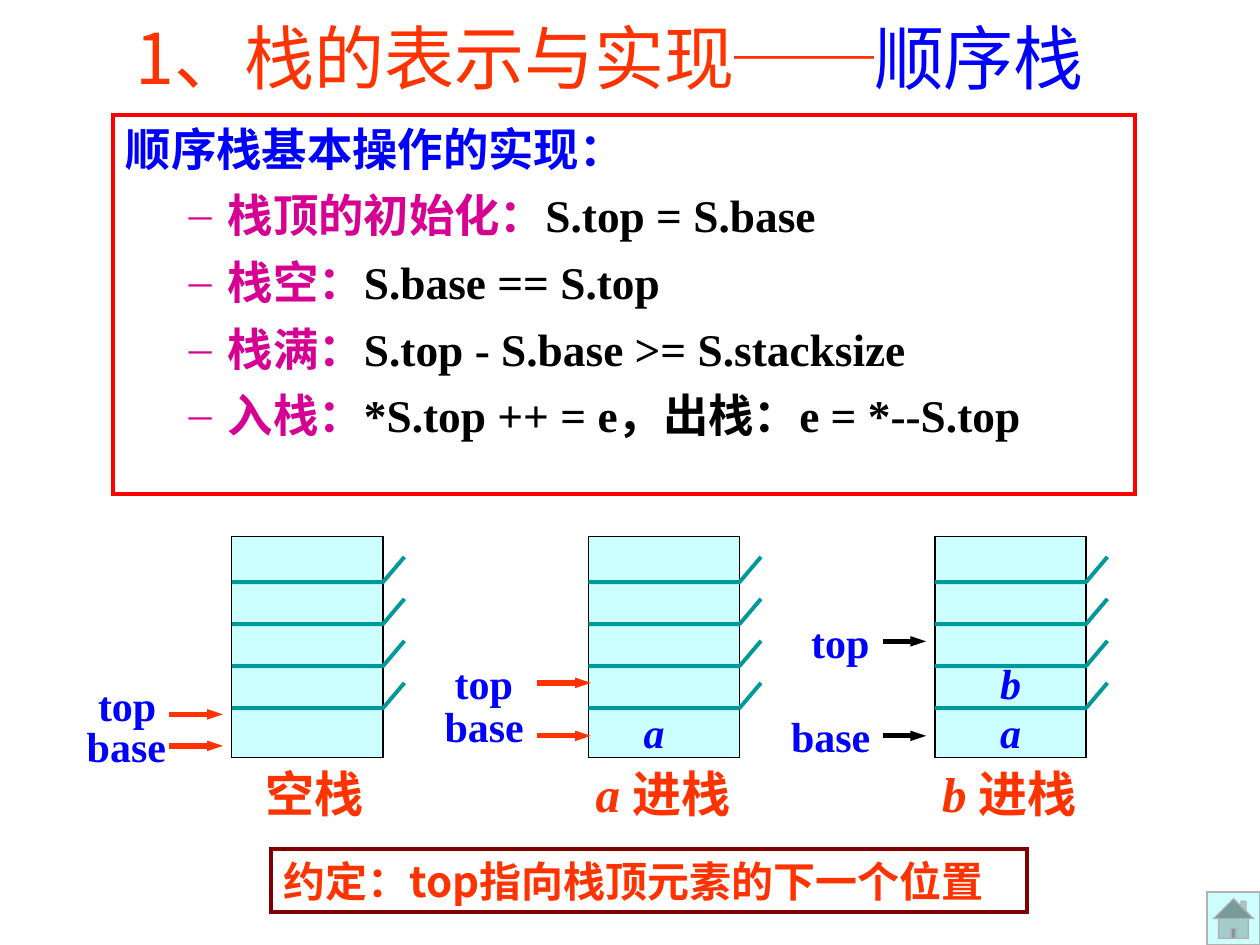
"""Build the slide on the operations of a sequential stack."""
import pptx
import pptx.dml.color
import pptx.enum.shapes
import pptx.enum.text
import pptx.oxml
import pptx.oxml.ns
import pptx.util
from lxml import etree

Inches = pptx.util.Inches
Pt = pptx.util.Pt
RGBColor = pptx.dml.color.RGBColor
MSO_SHAPE = pptx.enum.shapes.MSO_SHAPE
ALIGN = pptx.enum.text.PP_ALIGN
ANCHOR = pptx.enum.text.MSO_ANCHOR
qn = pptx.oxml.ns.qn

BLACK = RGBColor(0x00, 0x00, 0x00)
BLUE = RGBColor(0x00, 0x00, 0xFF)
RED = RGBColor(0xFF, 0x00, 0x00)
ORANGE = RGBColor(0xFF, 0x33, 0x00)
MAGENTA = RGBColor(0xD6, 0x00, 0x93)
MAROON = RGBColor(0x80, 0x00, 0x00)
TEAL = RGBColor(0x00, 0x99, 0x99)
CYAN = RGBColor(0xCC, 0xFF, 0xFF)
GREY = RGBColor(0xB2, 0xB2, 0xB2)


class StackSlide:
    serif = "Times New Roman"
    sans = "Noto Sans CJK SC"
    title_font = "Noto Sans CJK JP"

    def __init__(self, prs):
        self.s = prs.slides.add_slide(prs.slide_layouts[5])

    def run(self, p, text, size, color, font=serif, bold=True, italic=False):
        r = p.add_run()
        r.text = text
        f = r.font
        f.name, f.size, f.bold, f.italic = font, Pt(size), bold, italic
        f.color.rgb = color
        ea = etree.SubElement(r._r.get_or_add_rPr(), qn("a:ea"))
        ea.set("typeface", self.sans if font == self.serif else font)

    def title(self, parts):
        sp = self.s.shapes.title
        sp.left, sp.top = Inches(0.59), Inches(0.06)
        sp.width, sp.height = Inches(8.5), Inches(0.78)
        tf = sp.text_frame
        tf.vertical_anchor = ANCHOR.MIDDLE
        tf.auto_size = pptx.enum.text.MSO_AUTO_SIZE.NONE
        p = tf.paragraphs[0]
        p.alignment = ALIGN.CENTER
        for text, color, font in parts:
            self.run(p, text, 40, color, font, bold=False)

    def shape(self, kind, x, y, w, h, line, width, fill=None):
        sp = self.s.shapes.add_shape(kind, Inches(x), Inches(y), Inches(w), Inches(h))
        sp.shadow.inherit = False
        if fill is None:
            sp.fill.background()
        else:
            sp.fill.solid()
            sp.fill.fore_color.rgb = fill
        sp.line.color.rgb = line
        sp.line.width = Pt(width)
        etree.SubElement(sp.line._get_or_add_ln(), qn("a:miter")).set("lim", "800000")
        return sp

    def frame(self, x, y, w, h, line, anchor):
        tf = self.shape(MSO_SHAPE.RECTANGLE, x, y, w, h, line, 2.25).text_frame
        tf.word_wrap = True
        tf.vertical_anchor = anchor
        tf.paragraphs[0].alignment = ALIGN.LEFT
        return tf

    def operations(self, heading, items):
        tf = self.frame(0.9, 0.91, 8.11, 3.01, RED, ANCHOR.TOP)
        self.run(tf.paragraphs[0], heading, 25.9, BLUE)
        for name, code in items:
            p = tf.add_paragraph()
            p.alignment = ALIGN.LEFT
            p.space_before = Pt(7)
            self.dash(p)
            self.run(p, name, 25.9, MAGENTA)
            self.run(p, code, 25.9, BLACK)

    def dash(self, p):
        pPr = p._p.get_or_add_pPr()
        pPr.set("marL", str(Inches(0.81)))
        pPr.set("indent", str(Inches(-0.31)))
        color = etree.SubElement(pPr, qn("a:buClr"))
        etree.SubElement(color, qn("a:srgbClr")).set("val", str(MAGENTA))
        etree.SubElement(pPr, qn("a:buFont")).set("typeface", self.serif)
        etree.SubElement(pPr, qn("a:buChar")).set("char", "–")

    def stack(self, x):
        self.shape(MSO_SHAPE.RECTANGLE, x, 4.26, 1.2, 1.75, BLACK, 0.75, CYAN)
        for i in range(4):
            y = 4.62 + i / 3
            fb = self.s.shapes.build_freeform(Inches(x), Inches(y))
            fb.add_line_segments(
                [(Inches(x + 1.2), Inches(y)), (Inches(x + 1.37), Inches(y - 0.2))],
                close=False)
            sp = fb.convert_to_shape()
            sp.shadow.inherit = False
            sp.fill.background()
            sp.line.color.rgb = TEAL
            sp.line.width = Pt(2.25)

    def text_box(self, x, y, w, h):
        tf = self.s.shapes.add_textbox(Inches(x), Inches(y), Inches(w), Inches(h)).text_frame
        tf.word_wrap = False
        return tf.paragraphs[0]

    def label(self, x, y, w, text, italic=False):
        self.run(self.text_box(x, y, w, 0.5), text, 24, BLUE, italic=italic)

    def caption(self, x, w, element, text):
        p = self.text_box(x, 6.01, w, 0.57)
        if element:
            self.run(p, element + " ", 28, ORANGE, italic=True)
        self.run(p, text, 28, ORANGE)

    def arrow(self, x, y, length, color):
        cn = self.s.shapes.add_connector(
            pptx.enum.shapes.MSO_CONNECTOR.STRAIGHT,
            Inches(x), Inches(y), Inches(x + length), Inches(y))
        cn.line.color.rgb = color
        cn.line.width = Pt(3)
        tail = etree.SubElement(cn.line._get_or_add_ln(), qn("a:tailEnd"))
        tail.set("type", "triangle")
        tail.set("w", "sm")
        etree.SubElement(cn._element.spPr, qn("a:effectLst"))

    def note(self, text):
        tf = self.frame(2.15, 6.74, 6, 0.5, MAROON, ANCHOR.MIDDLE)
        self.run(tf.paragraphs[0], text, 24, ORANGE, self.sans)

    def home_button(self):
        self.shape(MSO_SHAPE.ACTION_BUTTON_HOME, 9.58, 7.08, 0.42, 0.42, GREY, 0.75, CYAN)


def main():
    prs = pptx.Presentation()
    prs.slide_width, prs.slide_height = Inches(10), Inches(7.5)
    s = StackSlide(prs)
    s.title([("1、栈", ORANGE, s.title_font),
             ("的表示与实现──", ORANGE, s.serif),
             ("顺序栈", BLUE, s.serif)])
    s.operations("顺序栈基本操作的实现：", [
        ("栈顶的初始化：", "S.top = S.base"),
        ("栈空：", "S.base == S.top"),
        ("栈满：", "S.top - S.base >= S.stacksize"),
        ("入栈：", "*S.top ++ = e，出栈：e = *--S.top"),
    ])
    for x in (1.84, 4.67, 7.42):
        s.stack(x)
    for x, y, w, text in [
        (0.68, 5.34, 0.66, "top"), (0.59, 5.67, 0.83, "base"),
        (3.51, 5.17, 0.66, "top"), (3.43, 5.51, 0.83, "base"),
        (6.34, 4.84, 0.66, "top"), (6.18, 5.59, 0.83, "base"),
    ]:
        s.label(x, y, w, text)
    for x, y, text in [(5.01, 5.56, "a"), (7.84, 5.56, "a"), (7.84, 5.17, "b")]:
        s.label(x, y, 0.36, text, italic=True)
    for x, length, color, heights in [
        (1.34, 0.43, ORANGE, (5.67, 5.92)),
        (4.26, 0.43, ORANGE, (5.42, 5.84)),
        (7.01, 0.34, BLACK, (5.09, 5.84)),
    ]:
        for y in heights:
            s.arrow(x, y, length, color)
    s.caption(2.01, 1.02, "", "空栈")
    s.caption(4.63, 1.36, "a", "进栈")
    s.caption(7.38, 1.36, "b", "进栈")
    s.note("约定：top指向栈顶元素的下一个位置")
    s.home_button()
    prs.save("out.pptx")


if __name__ == "__main__":
    main()
